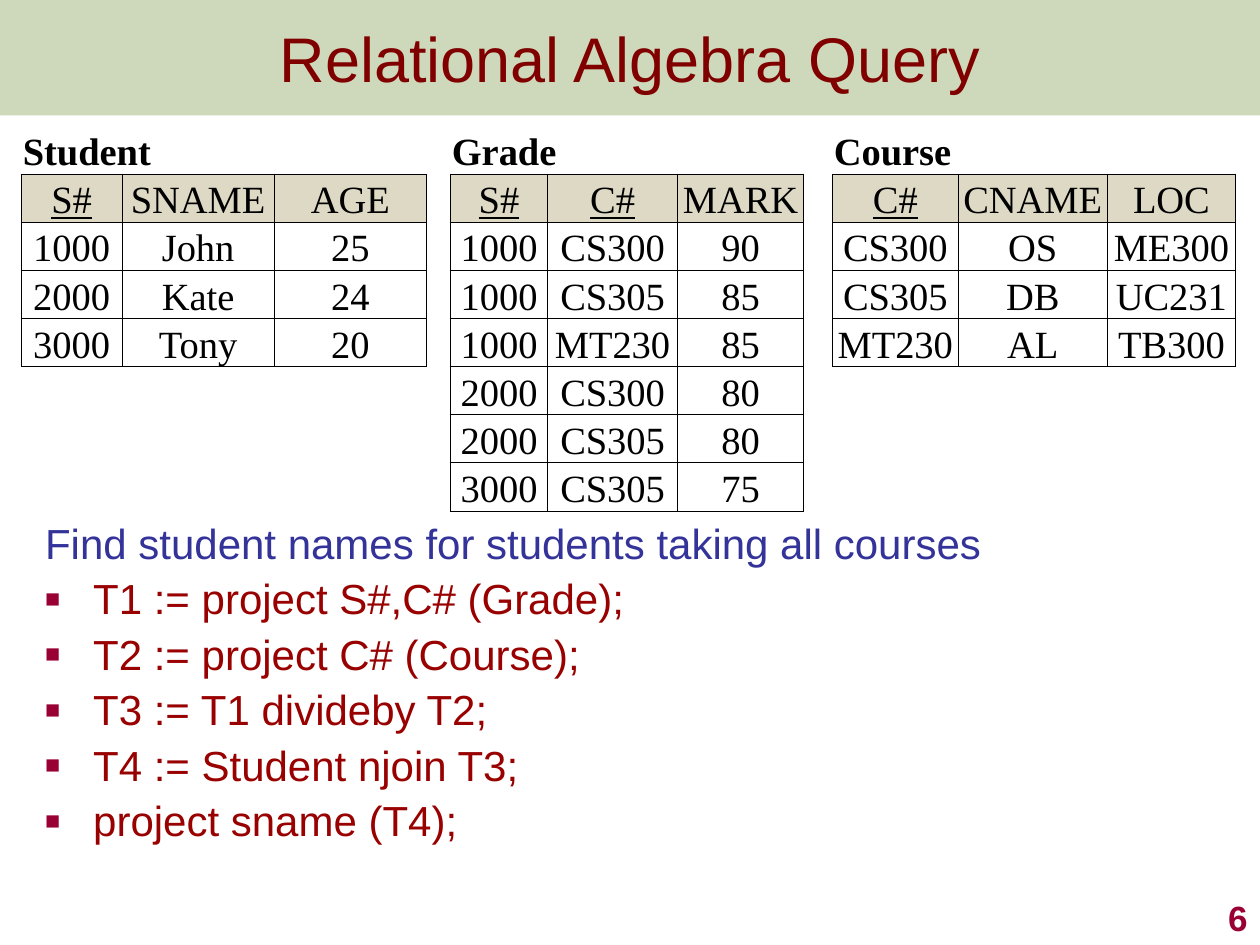
from itertools import accumulate

from lxml import etree
from pptx import Presentation
from pptx.dml.color import RGBColor
from pptx.enum.shapes import MSO_SHAPE
from pptx.enum.text import MSO_ANCHOR, PP_ALIGN
from pptx.oxml.ns import qn
from pptx.util import Cm, Pt

LEFT, CENTER, RIGHT = PP_ALIGN.LEFT, PP_ALIGN.CENTER, PP_ALIGN.RIGHT
TOP, MIDDLE, BOTTOM = MSO_ANCHOR.TOP, MSO_ANCHOR.MIDDLE, MSO_ANCHOR.BOTTOM
RECTANGLE = MSO_SHAPE.RECTANGLE
PLAIN_STYLE = "{2D5ABB26-0587-4C30-8999-92F81FD0307C}"
BLACK, WHITE, TAN = "000000", "FFFFFF", "DDD9C4"
CRIMSON, DARK_RED, MAROON, BLUE, GREEN = "990033", "990000", "800000", "333399", "5F8422"

ROW_HEIGHT = 0.97
GAPS = [0.48, 0.58]
RELATIONS = [
    ("Student", [2.03, 3.07, 3.07], ["S#"],
     [["S#", "SNAME", "AGE"], ["1000", "John", "25"],
      ["2000", "Kate", "24"], ["3000", "Tony", "20"]]),
    ("Grade", [1.96, 2.62, 2.54], ["S#", "C#"],
     [["S#", "C#", "MARK"], ["1000", "CS300", "90"], ["1000", "CS305", "85"],
      ["1000", "MT230", "85"], ["2000", "CS300", "80"],
      ["2000", "CS305", "80"], ["3000", "CS305", "75"]]),
    ("Course", [2.54, 3, 2.59], ["C#"],
     [["C#", "CNAME", "LOC"], ["CS300", "OS", "ME300"],
      ["CS305", "DB", "UC231"], ["MT230", "AL", "TB300"]]),
]
QUESTION = "Find student names for students taking all courses"
STEPS = [
    "T1 := project S#,C# (Grade);",
    "T2 := project C# (Course);",
    "T3 := T1 divideby T2;",
    "T4 := Student njoin T3;",
    "project sname (T4);",
]


def rgb(value):
    return RGBColor.from_string(value)


def write(paragraph, text, size=24, font="Arial", color=BLACK, bold=False,
          underline=False, align=LEFT):
    paragraph.alignment = align
    run = paragraph.add_run()
    run.text = text
    run.font.size = Pt(size)
    run.font.name = font
    run.font.bold = bold
    run.font.underline = underline
    run.font.color.rgb = rgb(color)


def add_frame(slide, box, anchor):
    frame = slide.shapes.add_textbox(*map(Cm, box)).text_frame
    frame.word_wrap = True
    frame.vertical_anchor = anchor
    return frame


def add_bullet(paragraph):
    properties = paragraph._p.get_or_add_pPr()
    color = etree.SubElement(properties, qn("a:buClr"))
    etree.SubElement(color, qn("a:srgbClr"), val=CRIMSON)
    etree.SubElement(properties, qn("a:buSzPct"), val="60000")
    etree.SubElement(properties, qn("a:buFont"), typeface="Arial")
    etree.SubElement(properties, qn("a:buChar"), char="■")


def add_query(slide, box):
    frame = add_frame(slide, box, TOP)
    frame.margin_right = 0
    question = frame.paragraphs[0]
    question.line_spacing = 0.9
    write(question, QUESTION, color=BLUE)
    for step in STEPS:
        paragraph = frame.add_paragraph()
        paragraph.line_spacing = 0.9
        paragraph.space_before = Pt(5.8)
        properties = paragraph._p.get_or_add_pPr()
        properties.set("marL", str(Cm(0.97)))
        properties.set("indent", str(-Cm(0.97)))
        add_bullet(paragraph)
        write(paragraph, step, color=DARK_RED)


def add_page_number(slide, box):
    frame = add_frame(slide, box, BOTTOM)
    write(frame.paragraphs[0], "6", size=20, color=CRIMSON, bold=True, align=RIGHT)


def add_title(slide, box):
    banner = slide.shapes.add_shape(RECTANGLE, *map(Cm, box))
    banner.shadow.inherit = False
    banner.line.fill.background()
    banner.fill.solid()
    banner.fill.fore_color.rgb = rgb(GREEN)
    tint = banner._element.spPr.find(qn("a:solidFill")).find(qn("a:srgbClr"))
    etree.SubElement(tint, qn("a:alpha"), val="30000")
    frame = banner.text_frame
    frame.word_wrap = True
    frame.vertical_anchor = MIDDLE
    write(frame.paragraphs[0], "Relational Algebra Query", size=36, color=MAROON,
          align=CENTER)


def add_borders(cell, sides):
    properties = cell._tc.get_or_add_tcPr()
    for side in sides:
        line = etree.SubElement(properties, qn("a:ln" + side), w=str(Pt(0.5)))
        fill = etree.SubElement(line, qn("a:solidFill"))
        etree.SubElement(fill, qn("a:srgbClr"), val=BLACK)


def fill_cell(cell, text, fill, sides="LRTB", **text_format):
    add_borders(cell, sides)
    cell.fill.solid()
    cell.fill.fore_color.rgb = rgb(fill)
    write(cell.text_frame.paragraphs[0], text, size=22, font="Times New Roman",
          **text_format)


def add_relation(table, first, name, keys, rows):
    last = first + len(rows[0]) - 1
    table.cell(0, first).merge(table.cell(0, last))
    fill_cell(table.cell(0, first), name, WHITE, sides="B", bold=True)
    for row, values in enumerate(rows, 1):
        for column, value in enumerate(values, first):
            fill_cell(table.cell(row, column), value, TAN if row == 1 else WHITE,
                      underline=row == 1 and value in keys, align=CENTER)


def add_relations(slide, left, top):
    student, grade, course = [widths for _, widths, _, _ in RELATIONS]
    columns = [*student, GAPS[0], *grade, GAPS[1], *course]
    count = 1 + max(len(rows) for *_, rows in RELATIONS)
    table = slide.shapes.add_table(
        count, len(columns), Cm(left), Cm(top), Cm(sum(columns)), Cm(count * ROW_HEIGHT)).table
    table.first_row = table.horz_banding = False
    table._tbl.tblPr.find(qn("a:tableStyleId")).text = PLAIN_STYLE
    for column, width in zip(table.columns, columns):
        column.width = Cm(width)
    for row in table.rows:
        row.height = Cm(ROW_HEIGHT)
    for cell in table.iter_cells():
        cell.margin_left = cell.margin_right = cell.margin_top = Cm(0.03)
        cell.margin_bottom = 0
        cell.vertical_anchor = BOTTOM
    starts = accumulate((len(widths) + 1 for _, widths, _, _ in RELATIONS), initial=0)
    for first, (name, _, keys, rows) in zip(starts, RELATIONS):
        add_relation(table, first, name, keys, rows)


def main():
    presentation = Presentation()
    presentation.slide_width, presentation.slide_height = Cm(25.4), Cm(19.05)
    slide = presentation.slides.add_slide(presentation.slide_layouts[6])
    add_query(slide, (0.66, 10.42, 23.04, 6.78))
    add_page_number(slide, (20.12, 17.78, 5.28, 1.27))
    add_title(slide, (0, 0, 25.4, 2.33))
    add_relations(slide, 0.43, 2.54)
    presentation.save("out.pptx")


if __name__ == "__main__":
    main()
